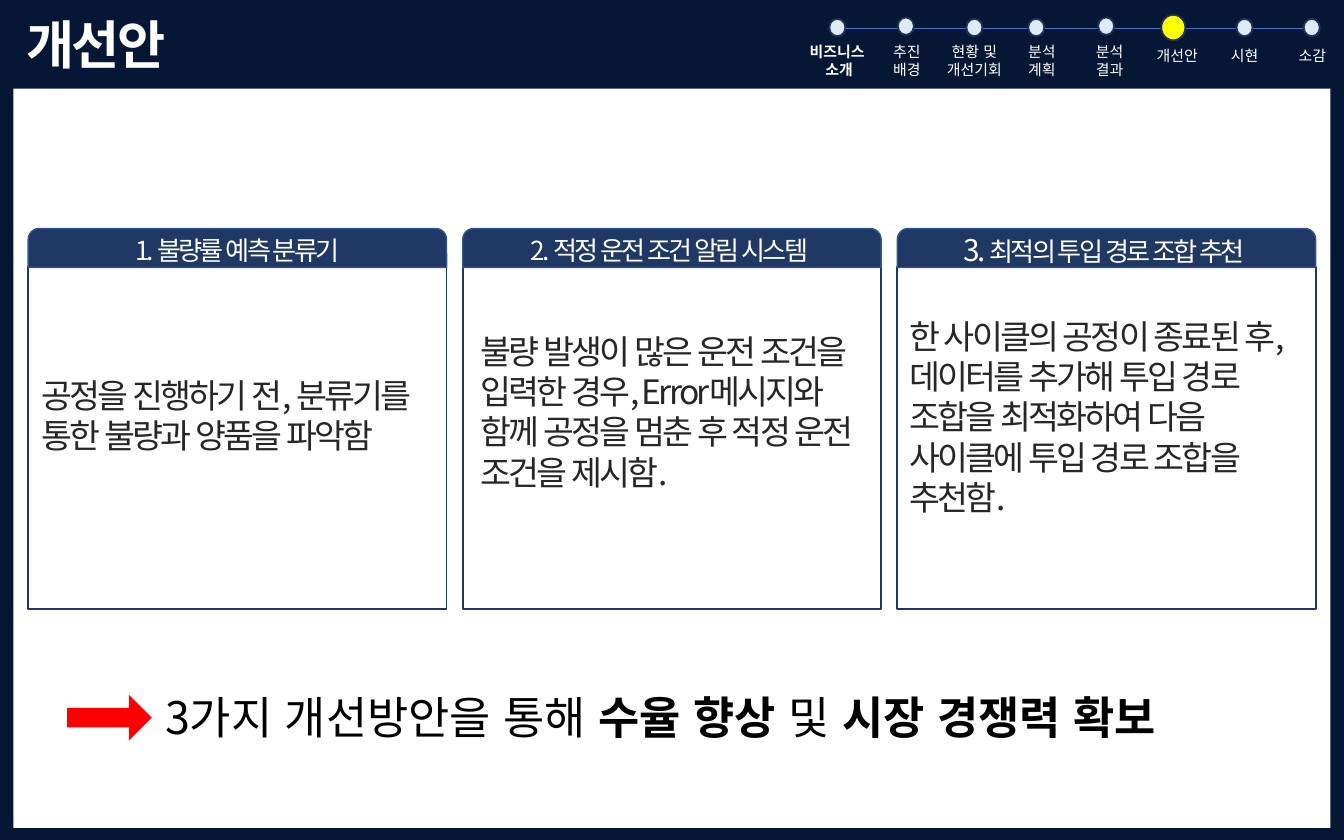
from collections import namedtuple

from lxml.etree import SubElement
from pptx import Presentation
from pptx.dml.color import RGBColor
from pptx.enum.lang import MSO_LANGUAGE_ID as LANG
from pptx.enum.shapes import MSO_CONNECTOR as LINE, MSO_SHAPE as SHAPE
from pptx.enum.text import MSO_ANCHOR as ANCHOR, MSO_AUTO_SIZE as FIT, PP_ALIGN as ALIGN
from pptx.oxml.ns import qn
from pptx.util import Inches, Pt

# Square grid: 100 columns by 62.5 rows
CELL = Inches(0.1)
COLS, ROWS = 100, 62.5
FONT = "Noto Sans CJK KR"
NAVY, WHITE, BLACK = "203864", "FFFFFF", "000000"

Box = namedtuple("Box", "left top width height")
Step = namedtuple("Step", "label dot_x dot_y")
Card = namedtuple("Card", "number number_size title body text_box")

STEPS = [
    Step("비즈니스 \n소개", 62.3, 2.05), Step("추진\n배경", 67.4, 1.95),
    Step("현황 및\n개선기회", 72.5, 2.05), Step("분석\n계획", 77.1, 2.05),
    Step("분석\n결과", 82.3, 1.95), Step("개선안", 87.3, 2.05),
    Step("시현", 92.6, 2.05), Step("소감", 97.6, 2.05),
]
CURRENT = 5

# Text boxes are offsets from the corner of their card
CARDS = [
    Card("1. ", 14, "불량률 예측 분류기",
         "공정을 진행하기 전, 분류기를 통한 불량과 양품을 파악함",
         Box(0, 10.4, 30.6, 10.1)),
    Card("2. ", 14, "적정 운전 조건 알림 시스템 ",
         "불량 발생이 많은 운전 조건을 입력한 경우, Error메시지와 함께 공정을 멈춘 후 "
         "적정 운전 조건을 제시함.",
         Box(0.35, 7.1, 30.2, 16.2)),
    Card("3. ", 16, "최적의 투입 경로 조합 추천 ",
         "한 사이클의 공정이 종료된 후, 데이터를 추가해 투입 경로 조합을 최적화하여 다음 "
         "사이클에 투입 경로 조합을 추천함.",
         Box(-0.1, 6, 31.1, 16.2)),
]


def color(value):
    return RGBColor.from_string(value)


def place(box):
    return [round(length * CELL) for length in box]


def add_shape(page, kind, box, fill=None, line=None, weight=1):
    shape = page.shapes.add_shape(kind, *place(box))
    shape.shadow.inherit = False
    if fill:
        shape.fill.solid()
        shape.fill.fore_color.rgb = color(fill)
    else:
        shape.fill.background()
    if line:
        shape.line.color.rgb = color(line)
        shape.line.width = Pt(weight)
    else:
        shape.line.fill.background()
    return shape


def add_run(para, text, size, fill, bold=False, spacing=0):
    span = para.add_run()
    span.text = text
    font = span.font
    font.name, font.size, font.bold = FONT, Pt(size), bold
    font.color.rgb = color(fill)
    font.language_id = LANG.KOREAN
    properties = span._r.get_or_add_rPr()
    SubElement(properties, qn("a:ea")).set("typeface", FONT)
    if spacing:
        properties.set("spc", str(round(spacing * 100)))


def add_text_frame(page, box, fit=FIT.SHAPE_TO_FIT_TEXT):
    frame = page.shapes.add_textbox(*place(box)).text_frame
    frame.word_wrap = True
    frame.auto_size = fit
    return frame


def add_title(page, box):
    frame = add_text_frame(page, box, FIT.NONE)
    frame.vertical_anchor = ANCHOR.MIDDLE
    para = frame.paragraphs[0]
    para.line_spacing = 0.9
    add_run(para, "개선안", 28, WHITE, True, -1.5)


def add_card(page, box, card):
    header_height = 2.9
    # Frame and header
    add_shape(page, SHAPE.RECTANGLE,
              Box(box.left, box.top + header_height, box.width, box.height - header_height),
              line=NAVY)
    header = add_shape(page, SHAPE.ROUND_2_SAME_RECTANGLE,
                       box._replace(height=header_height), NAVY, "2F5597", 0.75)
    header.adjustments[0] = 0.28
    frame = header.text_frame
    frame.margin_left = frame.margin_right = frame.margin_top = frame.margin_bottom = 0
    frame.vertical_anchor = ANCHOR.MIDDLE
    para = frame.paragraphs[0]
    para.alignment = ALIGN.CENTER
    add_run(para, card.number, card.number_size, WHITE, spacing=-1.5)
    add_run(para, card.title, 14, WHITE, spacing=-1.5)
    # Description
    offset = card.text_box
    frame = add_text_frame(page, offset._replace(left=box.left + offset.left,
                                                 top=box.top + offset.top))
    add_run(frame.paragraphs[0], card.body, 18, "262626", spacing=-1.5)


def add_cards(page, box, gap):
    width = (box.width - gap * (len(CARDS) - 1)) / len(CARDS)
    for index, card in enumerate(CARDS):
        left = box.left + index * (width + gap)
        add_card(page, box._replace(left=left, width=width), card)


def add_conclusion(page, box):
    arrow_width = 6.3
    arrow = add_shape(page, SHAPE.RIGHT_ARROW,
                      Box(box.left, box.top + 0.9, arrow_width, 3.4), "FF0000")
    arrow.adjustments[0] = 0.43
    frame = add_text_frame(page, Box(box.left + arrow_width, box.top,
                                     box.width - arrow_width, box.height))
    for text, bold in [("3가지 개선방안을 통해 ", False), ("수율 향상 ", True),
                       ("및 ", False), ("시장 경쟁력 확보", True)]:
        add_run(frame.paragraphs[0], text, 24, BLACK, bold)


def add_progress(page, box):
    # Track from the first dot to the last
    y = box.top + 1
    start_x, start_y, end_x, end_y = place((62, y, 98.2, y))
    track = page.shapes.add_connector(LINE.STRAIGHT, start_x, start_y, end_x, end_y)
    track.line.color.rgb = color("4472C4")
    track.line.width = Pt(0.5)
    SubElement(track._element.spPr, qn("a:effectLst"))

    label_width = 6.7
    pitch = (box.width - label_width) / (len(STEPS) - 1)
    for index, step in enumerate(STEPS):
        # Dot
        current = index == CURRENT
        width, height = (1.8, 1.9) if current else (1.2, 1.3)
        add_shape(page, SHAPE.FLOWCHART_CONNECTOR,
                  Box(step.dot_x - width / 2, step.dot_y - height / 2, width, height),
                  "FFFF00" if current else "DEEBF7", "1E3256")
        # Label
        lines = step.label.split("\n")
        top, height = (1.6, 3.7) if len(lines) > 1 else (1.9, 2.4)
        frame = add_text_frame(page, Box(box.left + index * pitch, box.top + top,
                                         label_width, height))
        for number, text in enumerate(lines):
            para = frame.add_paragraph() if number else frame.paragraphs[0]
            para.alignment = ALIGN.CENTER
            add_run(para, text, 8, WHITE, bold=index == 0)


def main():
    deck = Presentation()
    deck.slide_width, deck.slide_height = place((COLS, ROWS))
    page = deck.slides.add_slide(deck.slide_layouts[6])
    page.background.fill.solid()
    page.background.fill.fore_color.rgb = color("051735")

    add_shape(page, SHAPE.RECTANGLE, Box(1, 6.6, COLS - 2, 55), WHITE)
    add_title(page, Box(1, -2.5, 26.9, 12.1))
    add_cards(page, Box(2.1, 17, COLS - 4.2, 28.3), gap=1.2)
    add_conclusion(page, Box(5, 50.8, 90.9, 5))
    add_progress(page, Box(59.1, 1.1, 41.9, 5.2))
    deck.save("out.pptx")


if __name__ == "__main__":
    main()
